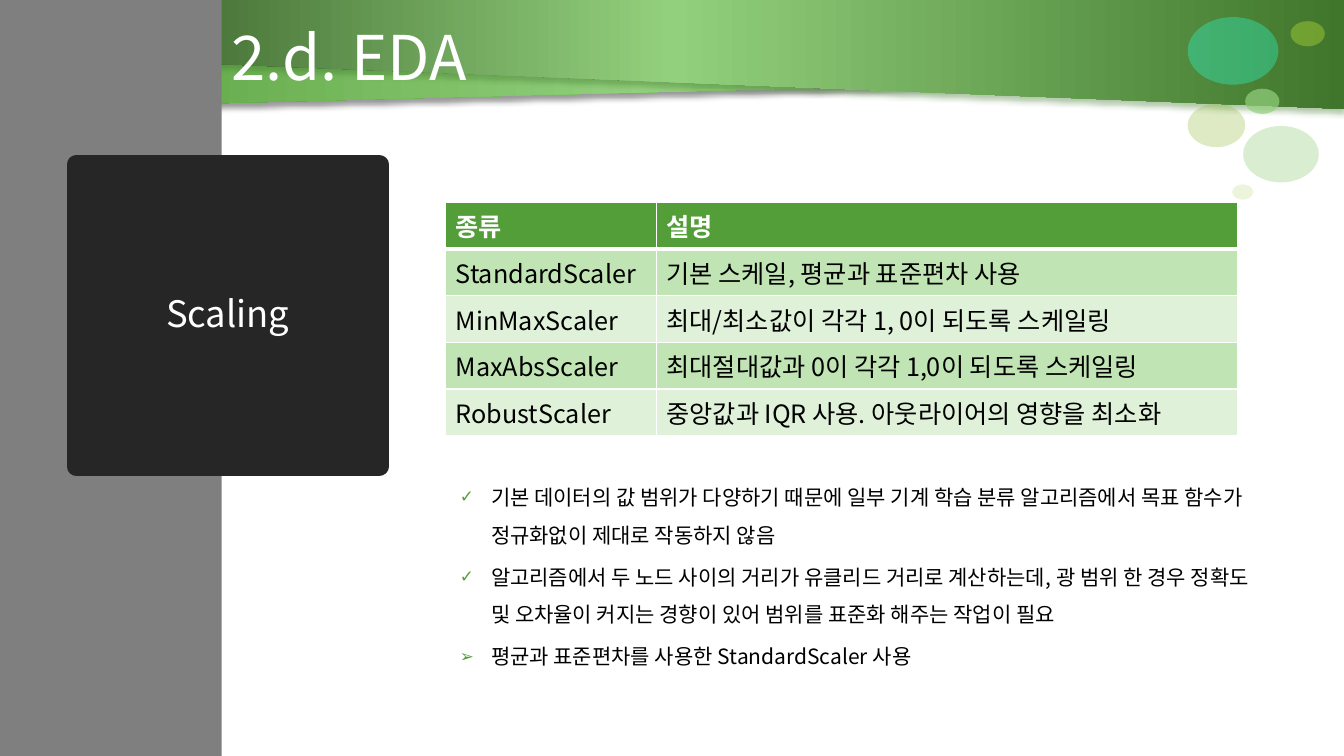
from dataclasses import dataclass

from lxml.etree import SubElement
from pptx import Presentation
from pptx.dml.color import RGBColor
from pptx.enum.shapes import MSO_SHAPE as Preset
from pptx.enum.text import MSO_ANCHOR as Anchor, MSO_AUTO_SIZE as AutoSize, PP_ALIGN as Align
from pptx.oxml import parse_xml
from pptx.oxml.ns import nsdecls, qn
from pptx.util import Inches, Pt


@dataclass(frozen=True)
class Theme:
    font: str = "Noto Sans CJK KR"
    white: str = "FFFFFF"
    black: str = "000000"
    side: str = "7F7F7F"
    panel: str = "262626"
    green: str = "549E39"
    light: str = "93D07D"
    dark: str = "3F762B"
    deep: str = "2A4F1C"
    lime: str = "8AB833"
    pale: str = "E8F3D4"
    aqua: str = "2BFCCF"
    bands: tuple = ("C1E4B4", "E0F1DA")
    heading_size: int = 44
    panel_size: int = 26
    table_size: int = 18
    list_size: int = 15


THEME = Theme()

# Ribbon outline, gradient start and shadow colour
RIBBONS = [
    ([(0, 0), (12.89, 0.75), (0, 1.08)], THEME.green, THEME.black),
    ([(13.33, 0), (0, 0), (0.01, 0.55), (13.33, 1.08)], THEME.deep, THEME.dark),
]
# Left, top, width, height, colour and opacity in percent
BUBBLES = [
    (12.22, 1.83, 0.21, 0.15, THEME.pale, 82),
    (11.78, 1.03, 0.57, 0.43, THEME.lime, 29),
    (12.33, 1.25, 0.75, 0.56, THEME.light, 35),
    (12.35, 0.88, 0.34, 0.25, THEME.light, 70),
    (11.78, 0.17, 0.9, 0.67, THEME.aqua, 36),
    (12.8, 0.21, 0.34, 0.25, THEME.lime, 65),
]
SCALERS = [
    ("종류", "설명"),
    ("StandardScaler", "기본 스케일, 평균과 표준편차 사용"),
    ("MinMaxScaler", "최대/최소값이 각각 1, 0이 되도록 스케일링"),
    ("MaxAbsScaler", "최대절대값과 0이 각각 1,0이 되도록 스케일링"),
    ("RobustScaler", "중앙값과 IQR 사용. 아웃라이어의 영향을 최소화"),
]
REASONS = [
    ("✓", "기본 데이터의 값 범위가 다양하기 때문에 일부 기계 학습 분류 알고리즘에서 목표 "
          "함수가 정규화없이 제대로 작동하지 않음"),
    ("✓", "알고리즘에서 두 노드 사이의 거리가 유클리드 거리로 계산하는데, 광 범위 한 경우 "
          "정확도 및 오차율이 커지는 경향이 있어 범위를 표준화 해주는 작업이 필요"),
    ("➢", "평균과 표준편차를 사용한 StandardScaler 사용"),
]


def paint(fill, color):
    fill.solid()
    fill.fore_color.rgb = RGBColor.from_string(color)


def place(shape, left, top, width, height):
    shape.left, shape.top = Inches(left), Inches(top)
    shape.width, shape.height = Inches(width), Inches(height)


def style_paragraph(paragraph, size, color, bold=False):
    font = paragraph.font
    font.size, font.bold, font.name = Pt(size), bold, THEME.font
    font.color.rgb = RGBColor.from_string(color)
    # East Asian typeface for the Korean text
    properties = paragraph._p.pPr.find(qn("a:defRPr"))
    SubElement(properties, qn("a:ea"), typeface=THEME.font)


def add_ribbon(slide, points, start_color, shadow_color):
    corners = [(Inches(x), Inches(y)) for x, y in points]
    builder = slide.shapes.build_freeform(*corners[0])
    builder.add_line_segments(corners[1:], close=True)
    shape = builder.convert_to_shape()
    shape.line.fill.background()
    # Three-stop gradient and soft shadow below
    colors = (start_color, THEME.light, THEME.dark)
    stops = "".join(f'<a:gs pos="{index * 50000}"><a:srgbClr val="{color}"/></a:gs>'
                    for index, color in enumerate(colors))
    properties = shape._element.spPr
    properties.find(qn("a:ln")).addprevious(parse_xml(
        f'<a:gradFill {nsdecls("a")} rotWithShape="1"><a:gsLst>{stops}</a:gsLst>'
        '<a:lin ang="0" scaled="0"/></a:gradFill>'))
    properties.append(parse_xml(
        f'<a:effectLst {nsdecls("a")}><a:outerShdw blurRad="{Pt(4)}" dist="{Pt(3)}" '
        f'dir="5400000" rotWithShape="0"><a:srgbClr val="{shadow_color}">'
        '<a:alpha val="40000"/></a:srgbClr></a:outerShdw></a:effectLst>'))


def add_block(slide, preset, left, top, width, height, color, opacity=100):
    shape = slide.shapes.add_shape(
        preset, Inches(left), Inches(top), Inches(width), Inches(height))
    shape.shadow.inherit = False
    shape.line.fill.background()
    paint(shape.fill, color)
    if opacity < 100:
        tint = shape._element.spPr.find(qn("a:solidFill"))[0]
        SubElement(tint, qn("a:alpha"), val=str(opacity * 1000))


def fill_panel(slide, text):
    title = slide.shapes.title
    place(title, 0.76, 1.63, 3, 3)
    paint(title.fill, THEME.panel)
    paint(title.line.fill, THEME.panel)
    title.line.width = Pt(13.75)
    SubElement(title._element.spPr.find(qn("a:ln")), qn("a:round"))
    frame = title.text_frame
    frame.text = text
    frame.auto_size, frame.vertical_anchor = AutoSize.NONE, Anchor.MIDDLE
    paragraph = frame.paragraphs[0]
    paragraph.alignment, paragraph.line_spacing = Align.CENTER, 0.9
    style_paragraph(paragraph, THEME.panel_size, THEME.white)
    slide.shapes._spTree.append(title._element)


def set_bullet(paragraph, mark):
    properties = paragraph._p.get_or_add_pPr()
    properties.set("marL", str(Inches(0.35)))
    properties.set("indent", str(Inches(-0.31)))
    color = SubElement(properties, qn("a:buClr"))
    SubElement(color, qn("a:srgbClr"), val=THEME.green)
    SubElement(properties, qn("a:buSzPct"), val="80000")
    SubElement(properties, qn("a:buChar"), char=mark)


def fill_list(slide, items):
    body = slide.placeholders[1]
    place(body, 4.42, 4.63, 8.07, 2.13)
    frame = body.text_frame
    frame.text = "\n".join(text for _, text in items)
    frame.auto_size, frame.vertical_anchor = AutoSize.NONE, Anchor.TOP
    for paragraph, (mark, _) in zip(frame.paragraphs, items):
        set_bullet(paragraph, mark)
        paragraph.line_spacing = 1.5
        paragraph.space_before = Pt(THEME.list_size * 0.2)
        style_paragraph(paragraph, THEME.list_size, THEME.black)
    slide.shapes._spTree.append(body._element)


def set_borders(cell, top, bottom):
    properties = cell._tc.get_or_add_tcPr()
    widths = {"lnL": 1, "lnR": 1, "lnT": top, "lnB": bottom}
    for index, (side, width) in enumerate(widths.items()):
        properties.insert(index, parse_xml(
            f'<a:{side} {nsdecls("a")} w="{Pt(width)}"><a:solidFill>'
            f'<a:srgbClr val="{THEME.white}"/></a:solidFill></a:{side}>'))


def add_scaler_table(slide, rows):
    table = slide.shapes.add_table(
        len(rows), 2, Inches(4.42), Inches(2.01), Inches(7.86), Inches(2.23)).table
    for column, width in zip(table.columns, (2.09, 5.77)):
        column.width = Inches(width)
    for row_index, texts in enumerate(rows):
        header = row_index == 0
        for column_index, text in enumerate(texts):
            cell = table.cell(row_index, column_index)
            cell.text = text
            paint(cell.fill, THEME.green if header else THEME.bands[(row_index - 1) % 2])
            set_borders(cell, 3 if row_index == 1 else 1, 3 if header else 1)
            style_paragraph(cell.text_frame.paragraphs[0], THEME.table_size,
                            THEME.white if header else THEME.black, header)


def add_heading(slide, text):
    box = slide.shapes.add_textbox(Inches(2.2), Inches(0.08), Inches(10.47), Inches(0.95))
    frame = box.text_frame
    frame.text = text
    frame.word_wrap, frame.vertical_anchor = True, Anchor.MIDDLE
    style_paragraph(frame.paragraphs[0], THEME.heading_size, THEME.white)


def main():
    presentation = Presentation()
    presentation.slide_width, presentation.slide_height = Inches(13.33), Inches(7.5)
    slide = presentation.slides.add_slide(presentation.slide_layouts[1])

    # Background decoration
    for ribbon in RIBBONS:
        add_ribbon(slide, *ribbon)
    for bubble in BUBBLES:
        add_block(slide, Preset.OVAL, *bubble)
    add_block(slide, Preset.RECTANGLE, 0, 0, 2.2, 7.5, THEME.side)

    # Content
    fill_panel(slide, "Scaling")
    fill_list(slide, REASONS)
    add_scaler_table(slide, SCALERS)
    add_heading(slide, "2.d. EDA")
    presentation.save("out.pptx")


if __name__ == "__main__":
    main()
